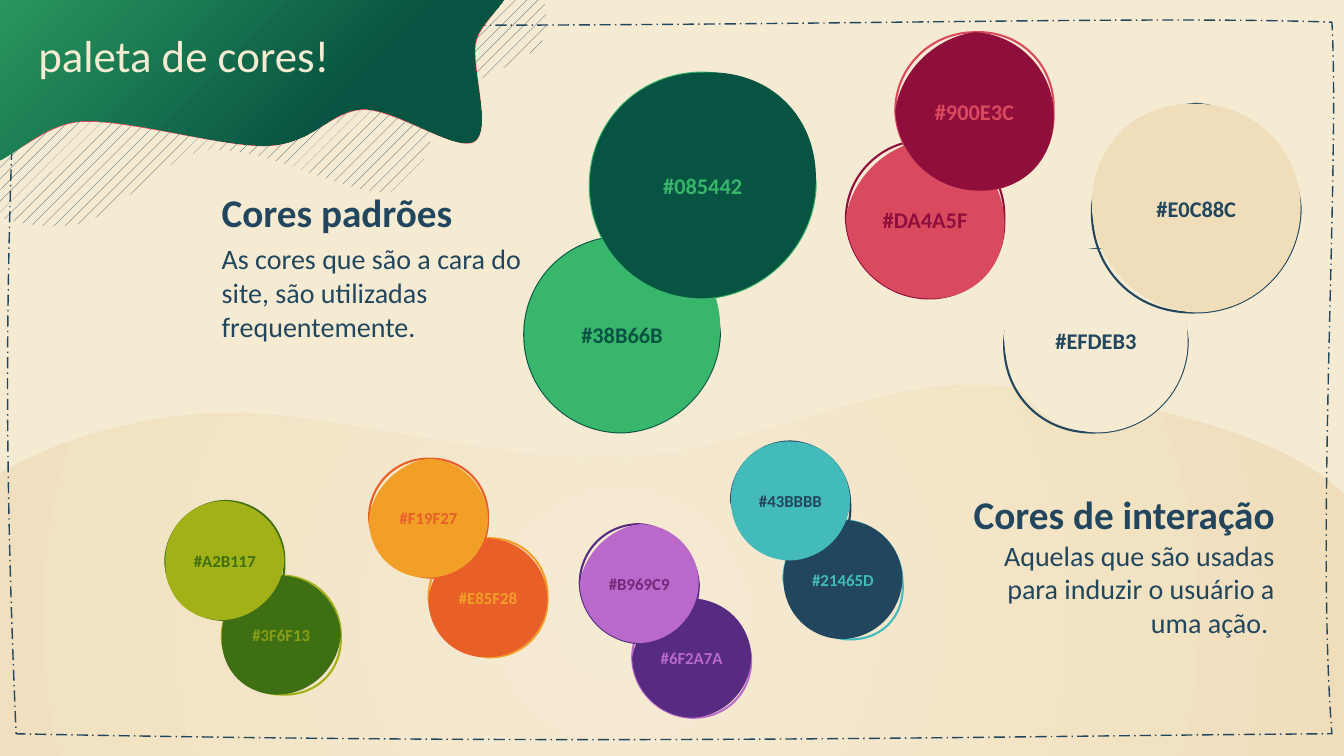
from dataclasses import dataclass

from pptx import Presentation
from pptx.dml.color import RGBColor
from pptx.enum.dml import MSO_LINE, MSO_PATTERN
from pptx.enum.text import MSO_ANCHOR, MSO_AUTO_SIZE, PP_ALIGN
from pptx.oxml import parse_xml
from pptx.oxml.ns import nsdecls, qn
from pptx.util import Inches, Pt


@dataclass(frozen=True)
class Theme:
    font: str = "Calibri"
    paper: str = "F5EBD3"
    sand: str = "F0DEBA"
    navy: str = "21465D"
    forest: str = "085442"
    green: str = "38B66B"
    rose: str = "DA4A5F"
    wine: str = "900E3C"
    lime: str = "A2B117"
    moss: str = "3F6F13"
    olive: str = "889F15"
    amber: str = "F19F27"
    orange: str = "E85F28"
    lilac: str = "B969C9"
    purple: str = "562B81"
    plum: str = "6F2A7A"
    teal: str = "43BBBB"
    title: int = 32
    heading: int = 28
    body: int = 20
    large_code: int = 16
    small_code: int = 12


THEME = Theme()
WIDTH, HEIGHT = 13.33, 7.5
UNIT = 100  # outline units per inch
SMOOTH = 1 / 6  # share of the neighbour distance used as curve handle
HANDLE = 0.22  # distance of a circle's control point from the disc corner

# Bulge in percent of each quarter, clockwise from top left: ring, then body
BULGES = {
    "greens": ((0, -1, -1, 0), (0, 2, -1, 0)),
    "reds": ((0, 1, 1, -1), (-3, -1, 2, -1)),
    "creams": ((-2, -2, 0, 1), (1, 0, 0, -1)),
    "limes": ((-1, 0, 2, 0), (0, -1, -2, 2)),
    "oranges": ((0, 1, 1, -2), (-3, -1, 0, 1)),
    "purples": ((0, -2, 1, -1), (-3, 0, -1, -1)),
    "teals": ((0, -1, 3, -4), (1, 0, -1, 0)),
}

# family, left, top, diameter, code, fill, ring, ink; back disc before front disc
T = THEME
DISCS = [
    ("greens", 5.2, 2.35, 1.94, "#38B66B", T.green, T.forest, T.forest),
    ("greens", 5.85, 0.72, 2.24, "#085442", T.forest, T.green, T.green),
    ("reds", 8.39, 1.39, 1.57, "#DA4A5F", T.rose, T.wine, T.wine),
    ("reds", 8.88, 0.32, 1.57, "#900E3C", T.wine, T.rose, T.rose),
    ("creams", 9.96, 2.47, 1.82, "#EFDEB3", T.paper, T.navy, T.navy),
    ("creams", 10.83, 1.03, 2.07, "#E0C88C", T.sand, T.navy, T.navy),
    ("limes", 2.2, 5.71, 1.18, "#3F6F13", T.moss, T.lime, T.olive),
    ("limes", 1.64, 4.97, 1.18, "#A2B117", T.lime, T.moss, T.moss),
    ("oranges", 4.25, 5.34, 1.18, "#E85F28", T.orange, T.amber, T.amber),
    ("oranges", 3.66, 4.55, 1.18, "#F19F27", T.amber, T.orange, T.orange),
    ("purples", 6.27, 5.94, 1.18, "#6F2A7A", T.purple, T.lilac, T.lilac),
    ("purples", 5.75, 5.2, 1.18, "#B969C9", T.lilac, T.purple, T.plum),
    ("teals", 7.77, 5.16, 1.18, "#21465D", T.navy, T.teal, T.teal),
    ("teals", 7.25, 4.38, 1.18, "#43BBBB", T.teal, T.navy, T.navy),
]

# Points that the smooth landscape curves pass through, in slide inches
DUNE = [(-1.14, 7.33), (-0.59, 5.16), (1.97, 4.11), (6.16, 4.55), (9.84, 3.83),
        (13.45, 5.06), (12.59, 8.33), (6.27, 7.8), (1.17, 8.41)]
HATCH = [(-0.58, 1.9), (0.74, 2.23), (2.1, 1.49), (3.9, 1.9), (4.46, 0.99), (5.42, 0.3),
         (4.77, -0.9), (3.05, -0.66), (0.76, -1.09), (-0.68, -0.49), (-1.48, -0.61),
         (-1.31, 0.97)]
BANNER = [(-0.35, 1.64), (0.8, 1.2), (2.66, 1.44), (3.6, 1.08), (4.7, 1.4), (4.71, 0.43),
          (4.96, -0.21), (3.28, -0.57), (1.29, -0.15), (-0.58, -0.45), (-1.46, 0.5)]
# Corners of the frame, each side with its two control points
FRAME = [(0.16, 0.22), (6.61, 0.32), (10.9, 0.14), (13.21, 0.22), (13.29, 1.64), (13.05, 5.23),
         (13.21, 7.28), (9.96, 7.3), (6.13, 7.4), (0.16, 7.28), (0.01, 3.83), (0.09, 2.27),
         (0.16, 0.22)]


def rgb(code):
    return RGBColor.from_string(code)


def smooth_contour(anchors, tension=SMOOTH):
    """Closed curve through the anchors; handles run parallel to the neighbours' chord."""
    count = len(anchors)

    def handle(index, side):
        before, after = anchors[index - 1], anchors[(index + 1) % count]
        return tuple(anchors[index][axis] + side * tension * (after[axis] - before[axis])
                     for axis in range(2))

    contour = [anchors[0]]
    for index in range(count):
        following = (index + 1) % count
        contour += [handle(index, 1), handle(following, -1), anchors[following]]
    return contour


def disc_contour(left, top, size, bulges):
    """Circle whose quarters are pushed outwards by their bulge."""
    x, y = -1, 0  # direction from the centre to the current anchor
    contour = [(x, y)]
    for bulge in bulges:
        next_x, next_y = -y, x
        corner_x, corner_y = x + next_x, y + next_y
        push = bulge / 50
        for end_x, end_y in ((x, y), (next_x, next_y)):
            contour.append(tuple(end + (corner - end) * (1 - 2 * HANDLE) + push * corner
                                 for end, corner in ((end_x, corner_x), (end_y, corner_y))))
        contour.append((next_x, next_y))
        x, y = next_x, next_y
    return [(left + size * (1 + x) / 2, top + size * (1 + y) / 2) for x, y in contour]


def add_curved(slide, *contours):
    """Add a Bézier freeform; of two contours, the first is a ring and the second a body."""
    scaled = [[(round(x * UNIT), round(y * UNIT)) for x, y in contour] for contour in contours]
    columns, rows = zip(*scaled[0][::3])
    left, top, right, bottom = min(columns), min(rows), max(columns), max(rows)
    builder = slide.shapes.build_freeform(left, top, scale=Inches(1) / UNIT)
    builder.add_line_segments([(right, top), (right, bottom), (left, bottom)])
    shape = builder.convert_to_shape()
    shape.shadow.inherit = False
    outlines = shape._element.spPr.find(qn("a:custGeom")).find(qn("a:pathLst"))
    outlines.clear()
    modes = ('fill="none"', 'stroke="0"') if len(contours) == 2 else ("",)
    for contour, mode in zip(scaled, modes):
        start, *rest = [f'<a:pt x="{x - left}" y="{y - top}"/>' for x, y in contour]
        curves = "".join(f"<a:cubicBezTo>{''.join(rest[i:i + 3])}</a:cubicBezTo>"
                         for i in range(0, len(rest), 3))
        outlines.append(parse_xml(
            f'<a:path {nsdecls("a")} w="{right - left}" h="{bottom - top}" {mode}>'
            f"<a:moveTo>{start}</a:moveTo>{curves}<a:close/></a:path>"))
    return shape


def set_line(shape, color, width):
    shape.line.color.rgb = rgb(color)
    shape.line.width = Pt(width)


def set_gradient(shape, *stops):
    shape.fill.gradient()
    for stop, (position, color) in zip(shape.fill.gradient_stops, stops):
        stop.position, stop.color.rgb = position, rgb(color)


def write(frame, text, size, color, bold=False, align=PP_ALIGN.LEFT):
    paragraph = frame.paragraphs[0]
    paragraph.alignment = align
    run = paragraph.add_run()
    run.text = text
    run.font.name, run.font.size, run.font.bold = THEME.font, Pt(size), bold
    run.font.color.rgb = rgb(color)
    return run


def add_landscape(slide):
    # Sand dune, lightest at its centre
    dune = add_curved(slide, smooth_contour(DUNE))
    set_gradient(dune, (0, THEME.paper), (1, THEME.sand))
    dune.line.fill.background()
    gradient = dune._element.spPr.find(qn("a:gradFill"))
    gradient.remove(gradient.find(qn("a:lin")))
    gradient.append(parse_xml(f'<a:path {nsdecls("a")} path="circle"><a:fillToRect l="50000" '
                              't="50000" r="50000" b="50000"/></a:path>'))
    # Hatched patch behind the banner
    hatch = add_curved(slide, smooth_contour(HATCH))
    hatch.fill.patterned()
    hatch.fill.pattern = MSO_PATTERN.PERCENT_10
    hatch.fill.fore_color.rgb, hatch.fill.back_color.rgb = rgb(THEME.navy), rgb(THEME.paper)
    hatch.line.fill.background()


def add_disc(slide, family, left, top, size, code, fill, ring, ink):
    disc = add_curved(slide, *(disc_contour(left, top, size, bulges)
                               for bulges in BULGES[family]))
    disc.fill.solid()
    disc.fill.fore_color.rgb = rgb(fill)
    set_line(disc, ring, 1.5)
    frame = disc.text_frame
    frame.margin_left = frame.margin_right = frame.margin_top = frame.margin_bottom = 0
    frame.vertical_anchor = MSO_ANCHOR.MIDDLE
    write(frame, code, THEME.large_code if size > 1.5 else THEME.small_code, ink, True,
          PP_ALIGN.CENTER)


def add_caption(slide, box, heading, body, align):
    left, top, width, body_drop = box
    group = slide.shapes.add_group_shape()
    for text, drop, height, size, bold in ((heading, 0, 0.57, THEME.heading, True),
                                           (body, body_drop, 1.11, THEME.body, False)):
        part = group.shapes.add_textbox(Inches(left), Inches(top + drop),
                                        Inches(width), Inches(height))
        part.text_frame.word_wrap = True
        write(part.text_frame, text, size, THEME.navy, bold, align)


def add_frame(slide):
    frame = add_curved(slide, FRAME)
    frame.fill.background()
    set_line(frame, THEME.navy, 1)
    frame.line.dash_style = MSO_LINE.LONG_DASH_DOT


def add_title_banner(slide):
    banner = add_curved(slide, smooth_contour(BANNER, 0.15), smooth_contour(BANNER))
    set_gradient(banner, (0, THEME.green), (0.75, THEME.forest))
    banner.fill.gradient_angle = 315
    set_line(banner, THEME.rose, 1.5)
    # Title above the banner, with a dark text shadow
    title = slide.shapes.title
    title.left, title.top, title.width, title.height = map(Inches, (0.28, 0.22, 3.79, 0.64))
    title.text_frame.word_wrap = False
    title.text_frame.auto_size = MSO_AUTO_SIZE.NONE
    title.text_frame.vertical_anchor = MSO_ANCHOR.TOP
    run = write(title.text_frame, "paleta de cores!", THEME.title, THEME.paper)
    run.font._element.find(qn("a:solidFill")).addnext(parse_xml(
        f'<a:effectLst {nsdecls("a")}><a:outerShdw dist="38100" dir="2700000">'
        f'<a:srgbClr val="{THEME.forest}"/></a:outerShdw></a:effectLst>'))
    slide.shapes._spTree.append(title._element)


def main():
    deck = Presentation()
    deck.slide_width, deck.slide_height = Inches(WIDTH), Inches(HEIGHT)
    slide = deck.slides.add_slide(deck.slide_layouts[5])
    slide.background.fill.solid()
    slide.background.fill.fore_color.rgb = rgb(THEME.paper)
    add_landscape(slide)
    for disc in DISCS:
        add_disc(slide, *disc)
    add_caption(slide, (2.1, 1.82, 3.35, 0.53), "Cores padrões",
                "As cores que são a cara do site, são utilizadas frequentemente.", PP_ALIGN.LEFT)
    add_caption(slide, (9.39, 4.82, 3.35, 0.47), "Cores de interação",
                "Aquelas que são usadas para induzir o usuário a uma ação. ", PP_ALIGN.RIGHT)
    add_frame(slide)
    add_title_banner(slide)
    deck.save("out.pptx")


if __name__ == "__main__":
    main()
